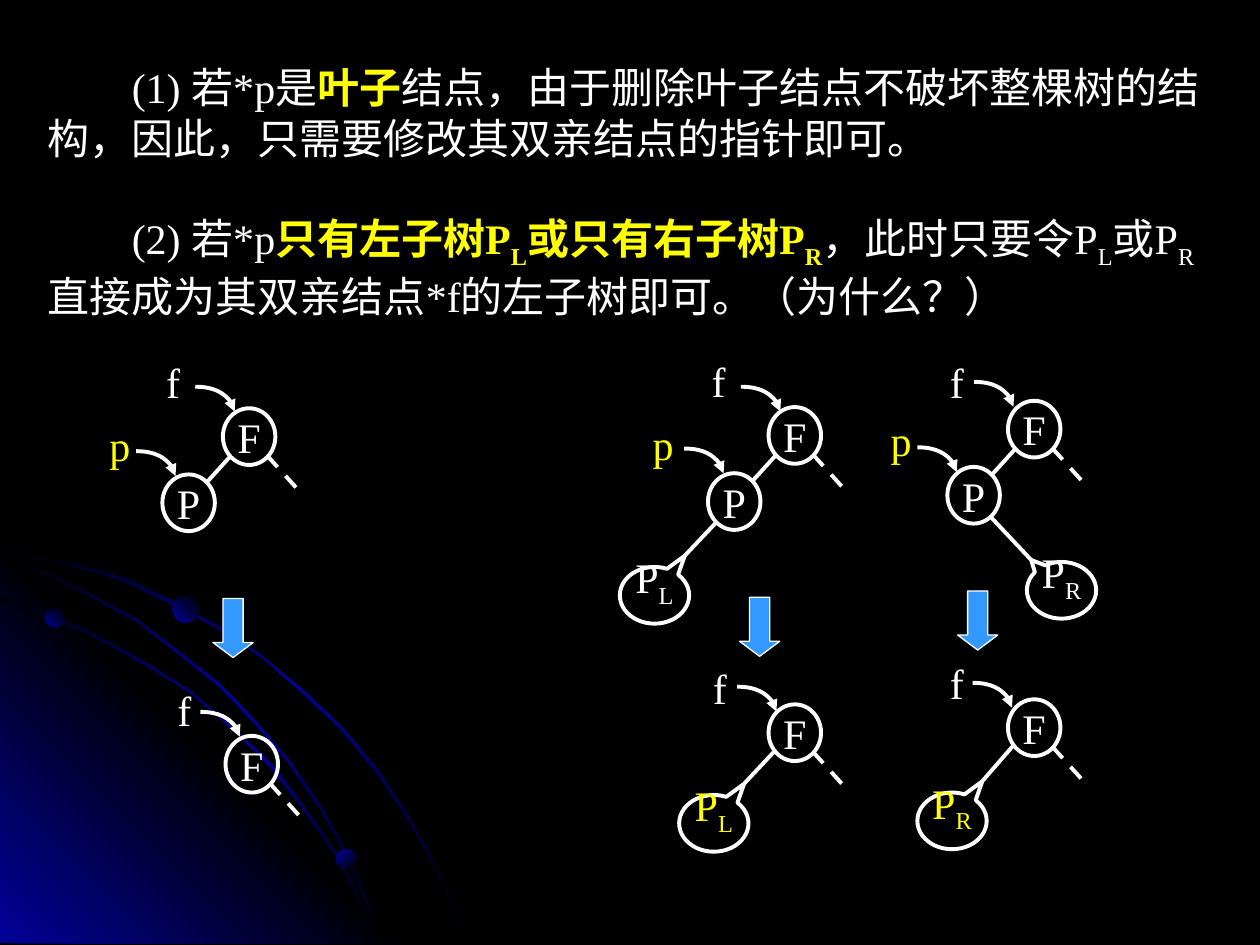
"""Build a slide on deleting a node from a binary search tree."""
import pptx
import pptx.util
import pptx.dml.color
import pptx.enum.dml
import pptx.enum.shapes
import pptx.enum.text
import pptx.oxml
from pptx.oxml.ns import qn

Pt = pptx.util.Pt
RGB = pptx.dml.color.RGBColor
SHAPE = pptx.enum.shapes.MSO_SHAPE
LINK = pptx.enum.shapes.MSO_CONNECTOR
ANCHOR = pptx.enum.text.MSO_ANCHOR
ALIGN = pptx.enum.text.PP_ALIGN
WHITE = RGB(255, 255, 255)
YELLOW = RGB(255, 255, 0)
BLACK = RGB(0, 0, 0)
NAVY = RGB(1, 1, 153)
SKY = RGB(51, 153, 255)
FONT = "Times New Roman"
NS = 'xmlns:a="http://schemas.openxmlformats.org/drawingml/2006/main"'

KEY, SUB = "key", "sub"
NOTES = [
    [("(1) 若*p是", ""), ("叶子", KEY),
     ("结点，由于删除叶子结点不破坏整棵树的结构，因此，只需要修改其双亲结点的指针即可。", "")],
    [("(2) 若*p", ""), ("只有左子树P", KEY), ("L", KEY + SUB),
     ("或只有右子树P", KEY), ("R", KEY + SUB), ("，此时只要令P", ""), ("L", SUB),
     ("或P", ""), ("R", SUB), ("直接成为其双亲结点*f的左子树即可。（为什么？）", "")],
]
BANDS = [
    [(0, 313.2), (20.2, 317.5), (41, 321.8), (70.6, 330.5), (97.9, 343.4),
     (125.3, 357.8), (150.5, 375.1), (174.2, 394.6), (195.8, 416.2), (216, 439.9),
     (234, 466.6), (244.1, 484.6), (253.4, 502.6), (260.6, 520.6), (267.8, 539.3)],
    [(0, 342), (29.5, 351.4), (56.9, 363.6), (84.2, 378.7), (109.4, 395.3),
     (132.5, 414.7), (154.8, 436.3), (174.2, 460.8), (191.5, 486.7),
     (205.9, 512.6), (213.1, 525.6), (218.2, 539.3)],
    [(0, 318.2), (28.1, 327.6), (54.7, 340.6), (79.9, 355), (102.2, 371.5),
     (126, 391), (146.9, 412.6), (164.9, 434.2), (182.9, 460.1), (193.7, 478.8),
     (203, 499), (211.7, 518.4), (218.2, 539.3)],
]
DOTS = [(25.9, 347.8, 10.8, 315), (192.2, 485.3, 11.5, 45), (98.6, 340.6, 15.1, 315)]
ROOTS = [
    ((127.4, 233.3), (87.8, 200.2), (111.6, 221)),
    ((439.2, 232.6), (399.6, 199.4), (423.4, 221)),
    ((576, 229), (535.7, 200.2), (556.6, 218.2)),
    ((128.9, 420.5), (94.3, 387.4), (114.5, 406.8)),
    ((439.2, 402.5), (400.3, 375.1), (421.2, 392.4)),
    ((576, 399.6), (535.7, 372.2), (555.8, 390.2)),
]
CHILDREN = [
    ((55.4, 236.2), (77.8, 257.8)),
    ((365.8, 235.4), (391, 256.3)),
    ((501.8, 233.3), (524.2, 255.6)),
]
LEAVES = [
    ("L", WHITE, (354.2, 324), (409, 298.8), (0.438, -0.7)),
    ("R", WHITE, (586.8, 321.1), (566.6, 295.9), (-0.438, -0.535)),
    ("L", YELLOW, (388.1, 454.3), (442.1, 429.8), (0.438, -0.7)),
    ("R", YELLOW, (524.2, 452.9), (578.9, 426.2), (0.438, -0.7)),
]
ARROWS = [(121.7, 342), (422.6, 341.3), (547.2, 337.7)]
LEAF = (39.6, 32.4)

deck = pptx.Presentation()
deck.slide_width, deck.slide_height = Pt(720), Pt(540)
slide = deck.slides.add_slide(deck.slide_layouts[6])
slide.background.fill.solid()
slide.background.fill.fore_color.rgb = BLACK
shapes = slide.shapes


def shade(shape, angle, *tones):
    shape.shadow.inherit = False
    shape.line.fill.background()
    shape.fill.gradient()
    grad = shape._element.spPr.find(qn("a:gradFill"))
    stops = "".join(
        f'<a:gs pos="{i * 100000 // (len(tones) - 1)}"><a:srgbClr val="{tone}"/></a:gs>'
        for i, tone in enumerate(tones))
    new = (f'<a:gradFill {NS} rotWithShape="1"><a:gsLst>{stops}</a:gsLst>'
           f'<a:lin ang="{angle * 60000}" scaled="0"/></a:gradFill>')
    grad.getparent().replace(grad, pptx.oxml.parse_xml(new))


def trace(points, angle, *tones):
    pen = shapes.build_freeform(*points[0], scale=Pt(1))
    pen.add_line_segments(points[1:], close=True)
    shade(pen.convert_to_shape(), angle, *tones)


def style(font, tone=WHITE):
    font.name, font.size, font.color.rgb = FONT, Pt(24), tone


def write(shape, text, tone=WHITE, sub="", anchor=ANCHOR.MIDDLE):
    frame = shape.text_frame
    frame.word_wrap = False
    frame.vertical_anchor = anchor
    para = frame.paragraphs[0]
    style(para.font, tone)
    para.add_run().text = text
    if sub:
        lower(para.add_run(), sub)
    return para


def lower(run, text):
    run.text = text
    run.font._element.set("baseline", "-25000")


def draw(kind, spot, size, fill=None, width=2.25):
    shape = shapes.add_shape(kind, *map(Pt, spot + size))
    shape.shadow.inherit = False
    if fill is None:
        shape.fill.background()
    else:
        shape.fill.solid()
        shape.fill.fore_color.rgb = fill
    shape.line.color.rgb = WHITE
    shape.line.width = Pt(width)
    return shape


def join(start, end, kind=LINK.STRAIGHT):
    link = shapes.add_connector(kind, *map(Pt, start + end))
    link.line.color.rgb = WHITE
    link.line.width = Pt(2.25)
    link._element.spPr.append(pptx.oxml.parse_xml(f"<a:effectLst {NS}/>"))
    return link


def move(spot, right, down):
    return spot[0] + right, spot[1] + down


def node(spot, text):
    oval = draw(SHAPE.OVAL, spot, (30, 32.4))
    write(oval, text).alignment = ALIGN.CENTER


def point(text, tone, spot, start):
    box = shapes.add_textbox(*map(Pt, spot + (24, 36)))
    write(box, text, tone, anchor=ANCHOR.TOP)
    curve = join(start, move(start, 22.5, 14.2), LINK.CURVE)
    curve._element.spPr.find(qn("a:prstGeom")).set("prst", "curvedConnector2")
    curve.line._get_or_add_ln().append(
        pptx.oxml.parse_xml(f'<a:tailEnd {NS} type="triangle"/>'))


for i, band in enumerate(BANDS):
    inner = [(max(0, x - 0.8), min(540, y + 1.2)) for x, y in reversed(band)]
    trace(band + inner, 45, BLACK, NAVY, BLACK)
    if i == 0:
        trace([(0, 307.4), (232, 539.3), (0, 539.3)], 315, NAVY, BLACK, NAVY)
for x, y, size, angle in DOTS:
    dot = shapes.add_shape(SHAPE.OVAL, Pt(x), Pt(y), Pt(size), Pt(size))
    shade(dot, angle, NAVY, BLACK)

frame = shapes.add_textbox(Pt(20.2), Pt(31.7), Pt(680.4), Pt(152.6)).text_frame
frame.word_wrap = True
for i, note in enumerate(NOTES):
    para = frame.add_paragraph() if i else frame.paragraphs[0]
    para._p.get_or_add_pPr().set("indent", str(Pt(48)))
    para.space_after = Pt(0 if i else 28.8)
    for text, mark in note:
        run = para.add_run()
        run.text = text
        style(run.font, YELLOW if KEY in mark else WHITE)
        run.font.bold = KEY in mark
        if SUB in mark:
            lower(run, text)

for i, (spot, label, arc) in enumerate(ROOTS):
    node(spot, "F")
    point("f", WHITE, label, arc)
    dash = join(move(spot, 25.2, 27), move(spot, 44.8, 48.6))
    dash.line.dash_style = pptx.enum.dml.MSO_LINE.DASH
    if i < len(CHILDREN):
        node(move(spot, -34.6, 37.8), "P")
        join(move(spot, 4.3, 27.4), move(spot, -9.4, 42.5))
        point("p", YELLOW, *CHILDREN[i])

for sub, tone, spot, start, tip in LEAVES:
    leaf = draw(SHAPE.OVAL_CALLOUT, spot, LEAF)
    leaf.adjustments[0], leaf.adjustments[1] = tip
    write(leaf, "P", tone, sub, ANCHOR.BOTTOM).alignment = ALIGN.CENTER
    join(start, move(spot, *(side * (0.5 + part) for side, part in zip(LEAF, tip))))

for spot in ARROWS:
    arrow = draw(SHAPE.DOWN_ARROW, spot, (23, 33.8), SKY, 0.75)
    arrow.adjustments[0], arrow.adjustments[1] = 0.5, 0.374

deck.save("out.pptx")
